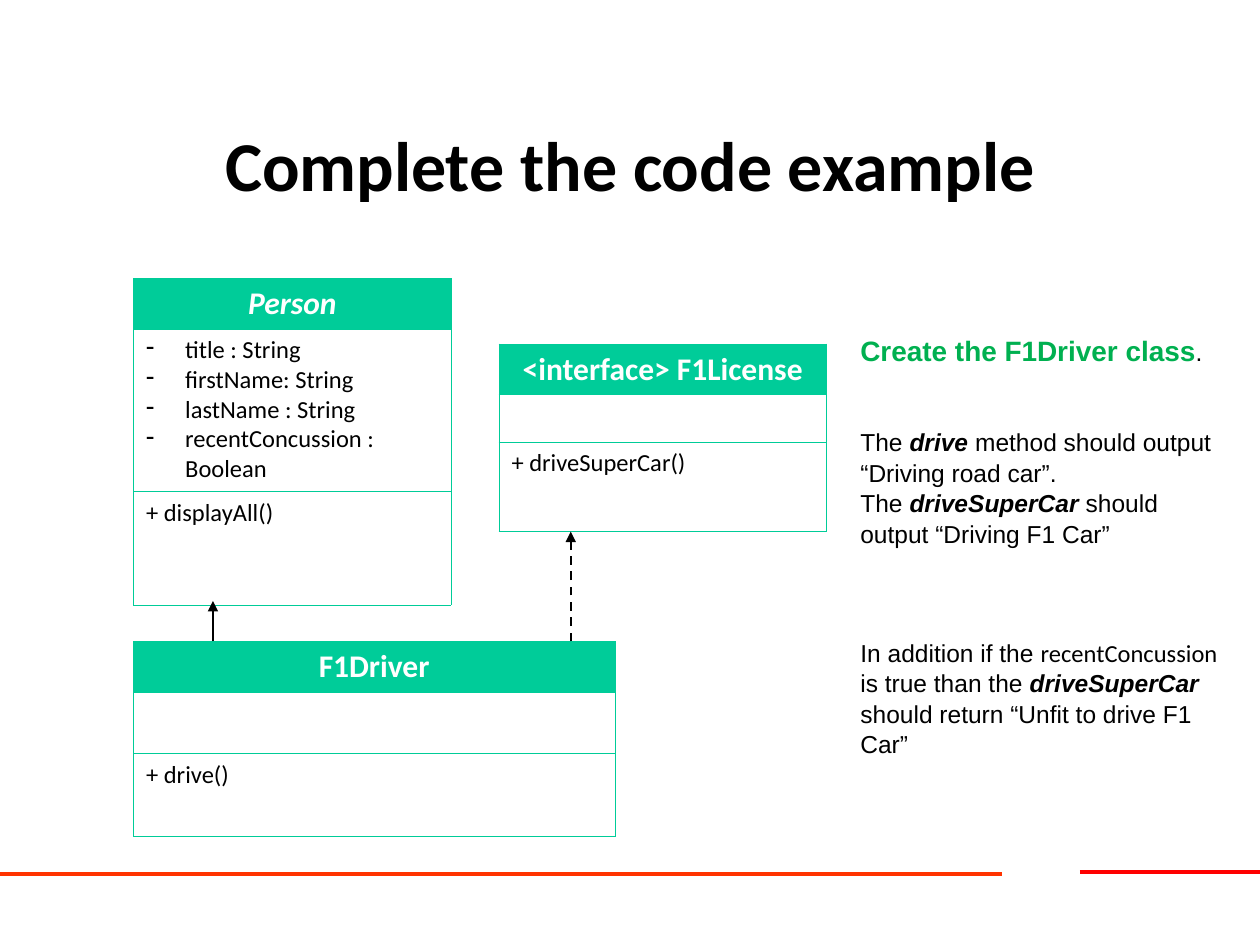
from dataclasses import dataclass

from lxml import etree
from pptx import Presentation
from pptx.dml.color import RGBColor
from pptx.enum.dml import MSO_LINE
from pptx.enum.shapes import MSO_CONNECTOR
from pptx.enum.text import MSO_ANCHOR, PP_ALIGN
from pptx.oxml.ns import qn
from pptx.util import Inches, Pt

STRAIGHT = MSO_CONNECTOR.STRAIGHT
DASH = MSO_LINE.DASH
MIDDLE = MSO_ANCHOR.MIDDLE
LEFT, CENTER = PP_ALIGN.LEFT, PP_ALIGN.CENTER
CELL = Inches(0.1)  # the slide is a grid of 100 columns by 75 rows
COLUMNS, ROWS = 100, 75


@dataclass(frozen=True)
class Theme:
    heading_font: str = "Calibri"
    body_font: str = "Arial"
    title_size: int = 40
    header_size: int = 18
    lead_size: int = 16
    body_size: int = 14
    ink: str = "000000"
    paper: str = "FFFFFF"
    class_fill: str = "00CC99"
    class_border: str = "00CC98"
    lead: str = "00B050"
    rule_left: str = "FF3300"
    rule_right: str = "FF0000"
    border_width: float = 0.34
    arrow_width: float = 1.25
    rule_width: float = 2.25


THEME = Theme()


def grid(*counts):
    return [round(count * CELL) for count in counts]


def style(font, name, size, color, bold=False, italic=False):
    font.name, font.size = name, Pt(size)
    font.color.rgb = RGBColor.from_string(color)
    font.bold, font.italic = bold, italic


def add_line(page, start, end, color, width):
    line = page.shapes.add_connector(STRAIGHT, *grid(*start, *end))
    line.line.color.rgb = RGBColor.from_string(color)
    line.line.width = Pt(width)
    etree.SubElement(line._element.spPr, qn("a:effectLst"))
    return line


def add_arrow(page, start, end, dashed=False):
    arrow = add_line(page, start, end, THEME.ink, THEME.arrow_width)
    if dashed:
        arrow.line.dash_style = DASH
    outline = arrow.line._get_or_add_ln()
    etree.SubElement(outline, qn("a:tailEnd"), type="triangle")


def add_text_box(page, box):
    frame = page.shapes.add_textbox(*grid(*box)).text_frame
    frame.word_wrap = True
    return frame


def add_title(page, box, text):
    frame = add_text_box(page, box)
    frame.vertical_anchor = MIDDLE
    para = frame.paragraphs[0]
    para.text, para.alignment = text, CENTER
    style(para.font, THEME.heading_font, THEME.title_size, THEME.ink, bold=True)


def add_dash_bullet(para):
    indent = Inches(0.31)
    settings = para._p.get_or_add_pPr()
    settings.set("marL", str(indent))
    settings.set("indent", str(-indent))
    etree.SubElement(settings, qn("a:buChar"), char="-")


def add_borders(cell):
    settings = cell._tc.get_or_add_tcPr()
    for place, side in enumerate(("a:lnL", "a:lnR", "a:lnT", "a:lnB")):
        border = etree.Element(qn(side), w=str(Pt(THEME.border_width)))
        fill = etree.SubElement(border, qn("a:solidFill"))
        etree.SubElement(fill, qn("a:srgbClr"), val=THEME.class_border)
        settings.insert(place, border)


def add_class(page, corner, width, heights, name, fields, method, abstract=False):
    """Draw a UML class: name, fields and method, one row each."""
    box = (*corner, width, sum(heights))
    table = page.shapes.add_table(len(heights), 1, *grid(*box)).table
    table.first_row = table.horz_banding = False
    for index, (height, lines) in enumerate(zip(heights, ([name], fields, [method]))):
        table.rows[index].height = grid(height)[0]
        cell = table.cell(index, 0)
        header = index == 0
        if header:
            cell.fill.solid()
            cell.fill.fore_color.rgb = RGBColor.from_string(THEME.class_fill)
        else:
            cell.fill.background()
        add_borders(cell)
        cell.text = "\n".join(lines)
        for para in cell.text_frame.paragraphs:
            para.alignment = CENTER if header else LEFT
            if lines is fields and fields:
                add_dash_bullet(para)
            if header:
                style(para.font, THEME.heading_font, THEME.header_size,
                      THEME.paper, bold=True, italic=abstract)
            else:
                style(para.font, THEME.heading_font, THEME.body_size, THEME.ink)


def add_task(page, box):
    """Write the instructions; each paragraph is (space before, spans)."""
    plain = (THEME.body_font, THEME.body_size, THEME.ink)
    strong = (*plain, True, True)
    lead = (THEME.body_font, THEME.lead_size, THEME.lead, True)
    field = (THEME.heading_font, THEME.body_size, THEME.ink)
    line = 16.8
    paragraphs = [
        (0, [("Create the F1Driver class", lead), (".", plain)]),
        (2 * line, [("The ", plain), ("drive", strong),
                    (" method should output “Driving road car”.", plain)]),
        (0, [("The ", plain), ("driveSuperCar", strong),
             (" should output “Driving F1 Car”", plain)]),
        (3 * line, [("In addition if the ", plain), ("recentConcussion ", field),
                    ("is true than the ", plain), ("driveSuperCar", strong),
                    (" should return “Unfit to drive F1 Car”", plain)]),
    ]
    frame = add_text_box(page, box)
    for index, (space, spans) in enumerate(paragraphs):
        para = frame.add_paragraph() if index else frame.paragraphs[0]
        para.line_spacing = 1.04
        para.space_before = Pt(space)
        for text, look in spans:
            span = para.add_run()
            span.text = text
            style(span.font, *look)


def add_footer_rules(page):
    add_line(page, (85.7, 69.2), (COLUMNS, 69.2), THEME.rule_right, THEME.rule_width)
    add_line(page, (0, 69.4), (79.5, 69.4), THEME.rule_left, THEME.rule_width)


def add_diagram(page, left, top):
    """Place the three classes and the arrows between them."""
    driver_top = top + 28.8
    license_left, license_top = left + 29, top + 5.2
    add_class(page, (left, top), 25.2, (4, 12.9, 9), "Person",
              ["title : String", "firstName: String", "lastName : String",
               "recentConcussion : Boolean"], "+ displayAll()", abstract=True)
    add_class(page, (left, driver_top), 38.2, (4, 4.9, 6.6), "F1Driver",
              [], "+ drive()")
    add_class(page, (license_left, license_top), 26, (4, 3.8, 7.1),
              "<interface> F1License", [], "+ driveSuperCar()")
    add_arrow(page, (left + 6.3, driver_top), (left + 6.3, top + 25.6))
    add_arrow(page, (left + 34.7, driver_top), (left + 34.7, top + 20.1), dashed=True)


def main():
    deck = Presentation()
    deck.slide_width, deck.slide_height = grid(COLUMNS, ROWS)
    page = deck.slides.add_slide(deck.slide_layouts[6])
    add_footer_rules(page)
    add_title(page, (7.5, 6.7, 85, 12.5), "Complete the code example")
    add_diagram(page, 10.6, 22.1)
    add_task(page, (67.3, 25.9, 31.5, 36.4))
    deck.save("out.pptx")


if __name__ == "__main__":
    main()
